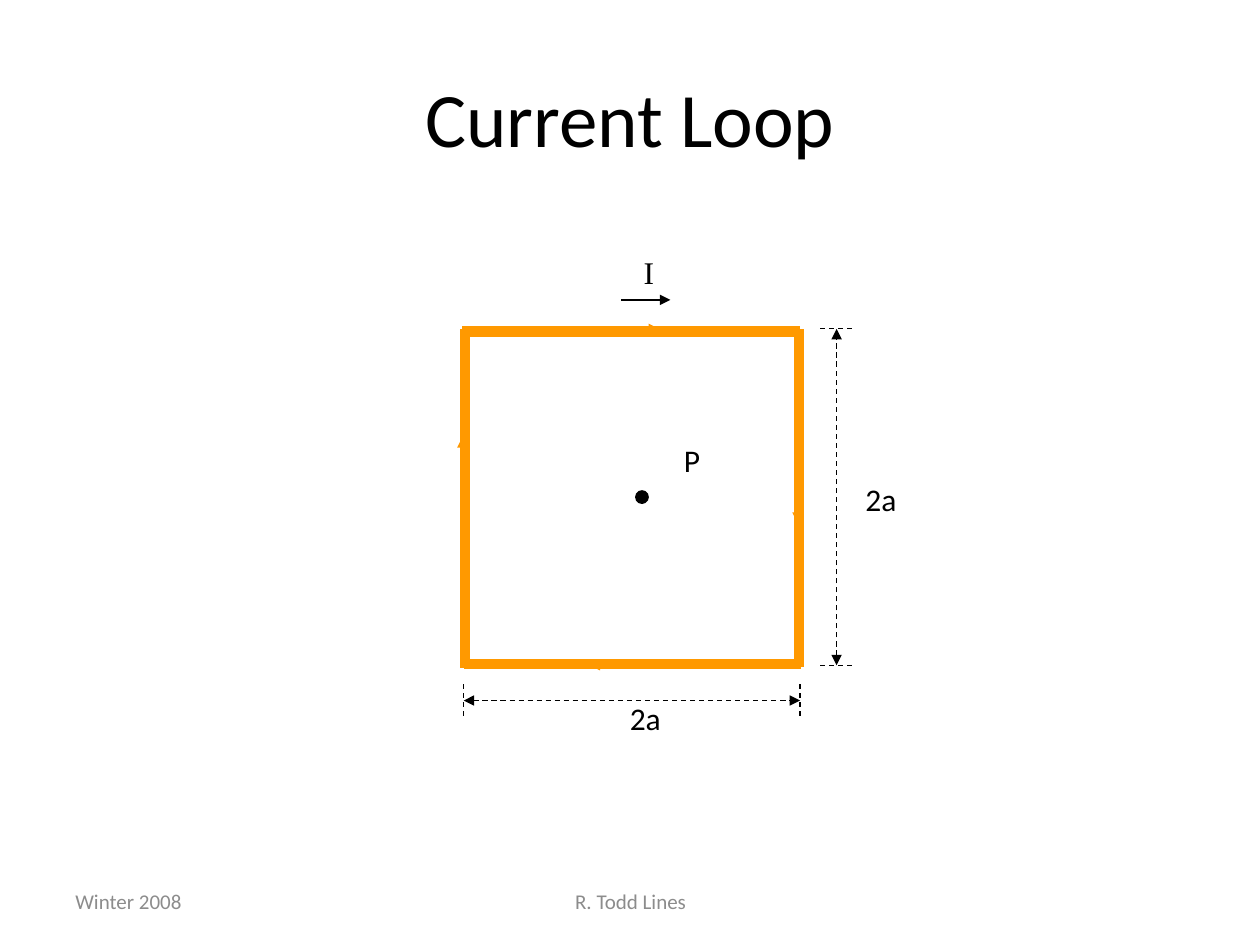
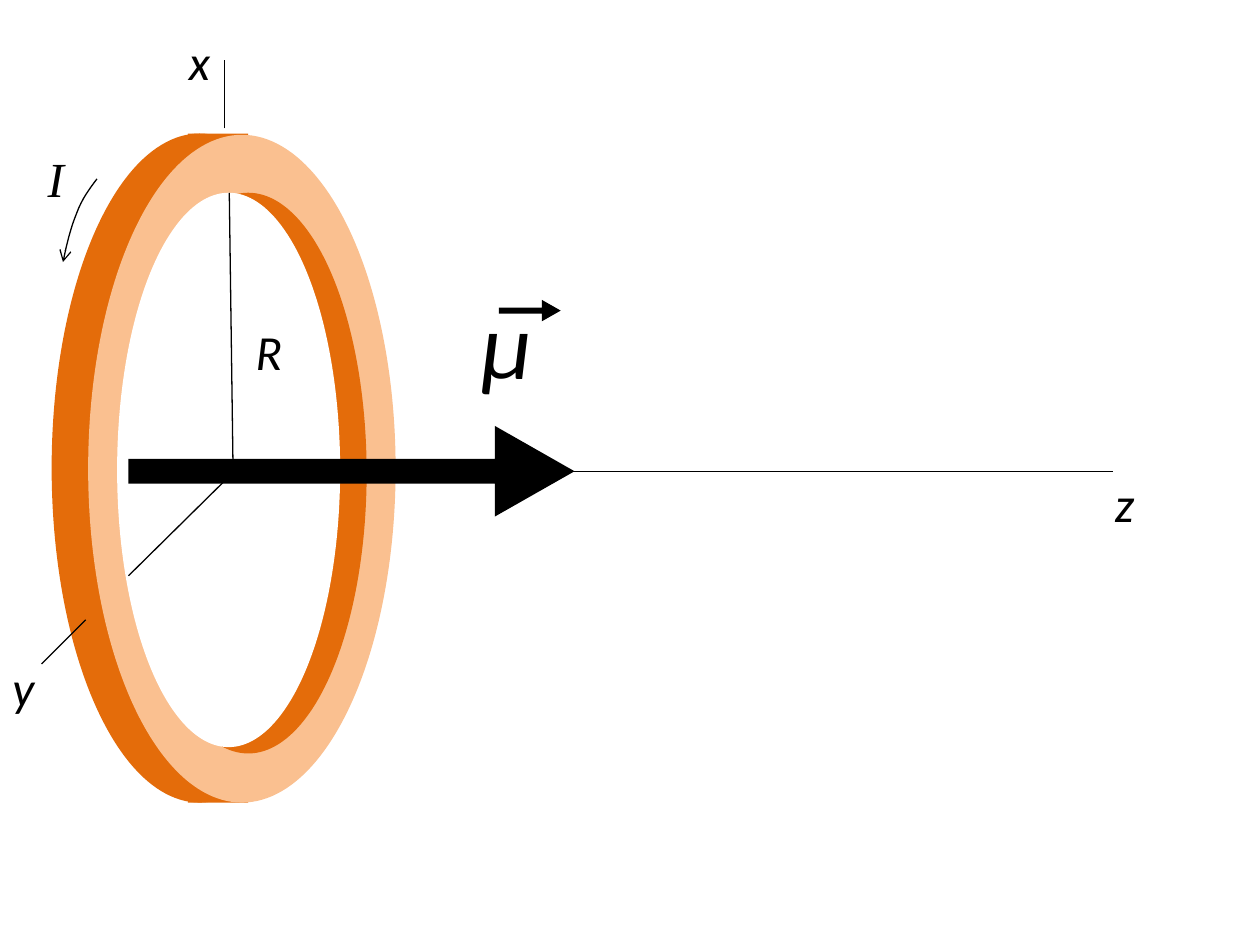
from lxml.etree import SubElement
from pptx import Presentation
from pptx.dml.color import RGBColor
from pptx.enum.dml import MSO_LINE
from pptx.enum.shapes import MSO_CONNECTOR, MSO_SHAPE
from pptx.enum.text import MSO_ANCHOR, MSO_AUTO_SIZE, PP_ALIGN
from pptx.oxml.ns import qn
from pptx.util import Inches, Pt

BLACK = RGBColor(0x00, 0x00, 0x00)
WHITE = RGBColor(0xFF, 0xFF, 0xFF)
GREY = RGBColor(0x8C, 0x8C, 0x8C)
WIRE = RGBColor(0xFF, 0x99, 0x00)
RING_SIDE = RGBColor(0xE4, 0x6C, 0x0A)
RING_FACE = RGBColor(0xFA, 0xC0, 0x90)

SANS = "Calibri"
SERIF = "Times New Roman"
FOOTERS = [
    ("Winter 2008", 0.5, 2.33, PP_ALIGN.LEFT),
    ("R. Todd Lines", 3.42, 3.17, PP_ALIGN.CENTER),
]


def bezier_points(start, control_1, control_2, end, steps=8):
    """Return points along a cubic curve, without its start."""
    points = []
    for step in range(1, steps + 1):
        t = step / steps
        weights = ((1 - t) ** 3, 3 * t * (1 - t) ** 2, 3 * t * t * (1 - t), t ** 3)
        corners = (start, control_1, control_2, end)
        points.append(tuple(
            sum(weight * corner[axis] for weight, corner in zip(weights, corners))
            for axis in (0, 1)))
    return points


class SlideBuilder:
    """Hold the deck style and draw on the current slide."""

    def __init__(self):
        self.deck = Presentation()
        self.deck.slide_width = Inches(10)
        self.deck.slide_height = Inches(7.5)
        self.page = None

    def new_page(self):
        self.page = self.deck.slides.add_slide(self.deck.slide_layouts[6])
        self.page.background.fill.solid()
        self.page.background.fill.fore_color.rgb = WHITE

    def text(self, words, left, top, width, height, size, color=BLACK,
             frame_format=None, align=PP_ALIGN.LEFT, **font_format):
        box = self.page.shapes.add_textbox(*map(Inches, (left, top, width, height)))
        frame = box.text_frame
        frame_values = {"word_wrap": True, "vertical_anchor": MSO_ANCHOR.MIDDLE}
        for name, value in (frame_format or frame_values).items():
            setattr(frame, name, value)
        para = frame.paragraphs[0]
        para.alignment = align
        span = para.add_run()
        span.text = words
        for name, value in ({"name": SANS, "size": Pt(size)} | font_format).items():
            setattr(span.font, name, value)
        span.font.color.rgb = color

    def label(self, words, left, top, width, height=0.37, size=18, **font_format):
        frame_format = {"word_wrap": False, "auto_size": MSO_AUTO_SIZE.SHAPE_TO_FIT_TEXT}
        self.text(words, left, top, width, height, size,
                  frame_format=frame_format, **font_format)

    def axis_label(self, words, left, top, width, height=0.57, size=28, **font_format):
        self.label(words, left, top, width, height, size, italic=True, **font_format)

    def title(self, words):
        self.text(words, 0.5, 0.3, 9, 1.25, 44, align=PP_ALIGN.CENTER)

    def footer(self):
        for words, left, width, align in FOOTERS:
            self.text(words, left, 6.95, width, 0.4, 12, GREY, align=align)

    def style_line(self, line, color=BLACK, weight=0.75, dashed=False, ends=None):
        """Style a line; ends maps headEnd or tailEnd to an arrowhead type."""
        line.color.rgb = color
        line.width = Pt(weight)
        if dashed:
            line.dash_style = MSO_LINE.DASH
        for end, kind in (ends or {}).items():
            SubElement(line._get_or_add_ln(), qn(f"a:{end}"), type=kind)

    def line(self, start, end, shapes=None, **line_format):
        connector = (shapes or self.page.shapes).add_connector(
            MSO_CONNECTOR.STRAIGHT, *map(Inches, (*start, *end)))
        self.style_line(connector.line, **line_format)
        SubElement(connector._element.spPr, qn("a:effectLst"))

    def arrow(self, start, end, color=BLACK):
        self.line(start, end, color=color, ends={"tailEnd": "triangle"})

    def dimension(self, start, end, ticks):
        """Draw a grouped two-headed dashed line with a tick at each end."""
        shapes = self.page.shapes.add_group_shape().shapes
        for tick_start, tick_end in ticks:
            self.line(tick_start, tick_end, shapes, dashed=True)
        self.line(start, end, shapes, dashed=True,
                  ends={"headEnd": "triangle", "tailEnd": "triangle"})

    def shape(self, kind, left, top, width, height, color=BLACK):
        shape = self.page.shapes.add_shape(kind, *map(Inches, (left, top, width, height)))
        shape.shadow.inherit = False
        shape.fill.solid()
        shape.fill.fore_color.rgb = color
        shape.line.fill.background()
        return shape

    def block_arrow(self, left, top, width, height):
        """Draw a solid arrow turned to point right."""
        arrow = self.shape(MSO_SHAPE.DOWN_ARROW, left, top, width, height)
        arrow.rotation = 270
        arrow.adjustments[0] = 0.273
        arrow.adjustments[1] = 0.879

    def curved_arrow(self, start, curves):
        points = [start]
        for curve in curves:
            points += bezier_points(points[-1], *curve)
        corners = [(Inches(x), Inches(y)) for x, y in points]
        builder = self.page.shapes.build_freeform(*corners[0])
        builder.add_line_segments(corners[1:], close=False)
        curve = builder.convert_to_shape()
        curve.shadow.inherit = False
        curve.fill.background()
        self.style_line(curve.line, ends={"tailEnd": "arrow"})


def build_current_loop(builder):
    builder.new_page()
    builder.footer()
    builder.title("Current Loop")

    wires = [
        ((3.67, 2.63), (6.35, 2.63)),
        ((3.68, 5.27), (6.36, 5.27)),
        ((3.69, 5.3), (3.69, 2.61)),
        ((6.34, 5.29), (6.34, 2.61)),
    ]
    for start, end in wires:
        builder.line(start, end, color=WIRE, weight=6)
    flow_arrows = [
        ((3.67, 3.96), (3.67, 3.47)),
        ((6.33, 3.65), (6.33, 4.15)),
        ((4.74, 2.61), (5.23, 2.61)),
        ((5.17, 5.28), (4.68, 5.28)),
    ]
    for start, end in flow_arrows:
        builder.arrow(start, end, WIRE)
    builder.arrow((4.93, 2.38), (5.32, 2.38))
    builder.label("I", 5.01, 1.96, 0.28, name=SERIF)

    left, right, top, bottom = 3.68, 6.35, 2.61, 5.28
    builder.dimension((left, 5.56), (right, 5.56),
                      [((x, 5.43), (x, 5.71)) for x in (left, right)])
    builder.label("2a", 4.9, 5.5, 0.45)
    builder.dimension((6.64, bottom), (6.64, top),
                      [((6.51, y), (6.79, y)) for y in (bottom, top)])
    builder.label("2a", 6.77, 3.76, 0.45)

    builder.shape(MSO_SHAPE.OVAL, 5.04, 3.89, 0.11, 0.11)
    builder.label("P", 5.33, 3.45, 0.35)


def build_magnetic_moment(builder):
    builder.new_page()
    ring_parts = [
        (MSO_SHAPE.OVAL, 0.41, 1.06, 2.35, 5.31, RING_SIDE),
        (MSO_SHAPE.RECTANGLE, 1.49, 1.06, 0.48, 5.31, RING_SIDE),
        (MSO_SHAPE.OVAL, 0.7, 1.07, 2.44, 5.3, RING_FACE),
        (MSO_SHAPE.OVAL, 1.03, 1.53, 1.88, 4.45, RING_SIDE),
        (MSO_SHAPE.OVAL, 0.93, 1.53, 1.77, 4.4, WHITE),
    ]
    for part in ring_parts:
        builder.shape(*part)

    center = (1.85, 3.75)
    builder.line(center, (1.82, 1.53))
    builder.line(center, (1.02, 4.57))
    builder.axis_label("R", 1.93, 2.5, 0.42)
    builder.line((1.78, 1.02), (1.78, 0.48))
    builder.line((0.68, 4.92), (0.33, 5.27))
    builder.axis_label("x", 1.4, 0.2, 0.37)
    builder.axis_label("y", 0, 5.17, 0.38)

    builder.curved_arrow((0.77, 1.42), [
        ((0.71, 1.5), (0.65, 1.58), (0.61, 1.69)),
        ((0.56, 1.81), (0.53, 1.94), (0.5, 2.08)),
    ])
    builder.axis_label("I", 0.28, 1.13, 0.33, name=SERIF)

    builder.block_arrow(2.43, 1.97, 0.72, 3.54)
    builder.axis_label("z", 8.75, 3.71, 0.36)
    builder.line((1.86, 3.74), (8.83, 3.74))
    builder.axis_label("μ", 3.72, 2.21, 0.64, 1.01, 54)
    builder.block_arrow(4.12, 2.22, 0.17, 0.49)


def main():
    builder = SlideBuilder()
    build_current_loop(builder)
    build_magnetic_moment(builder)
    builder.deck.save("out.pptx")


if __name__ == "__main__":
    main()
